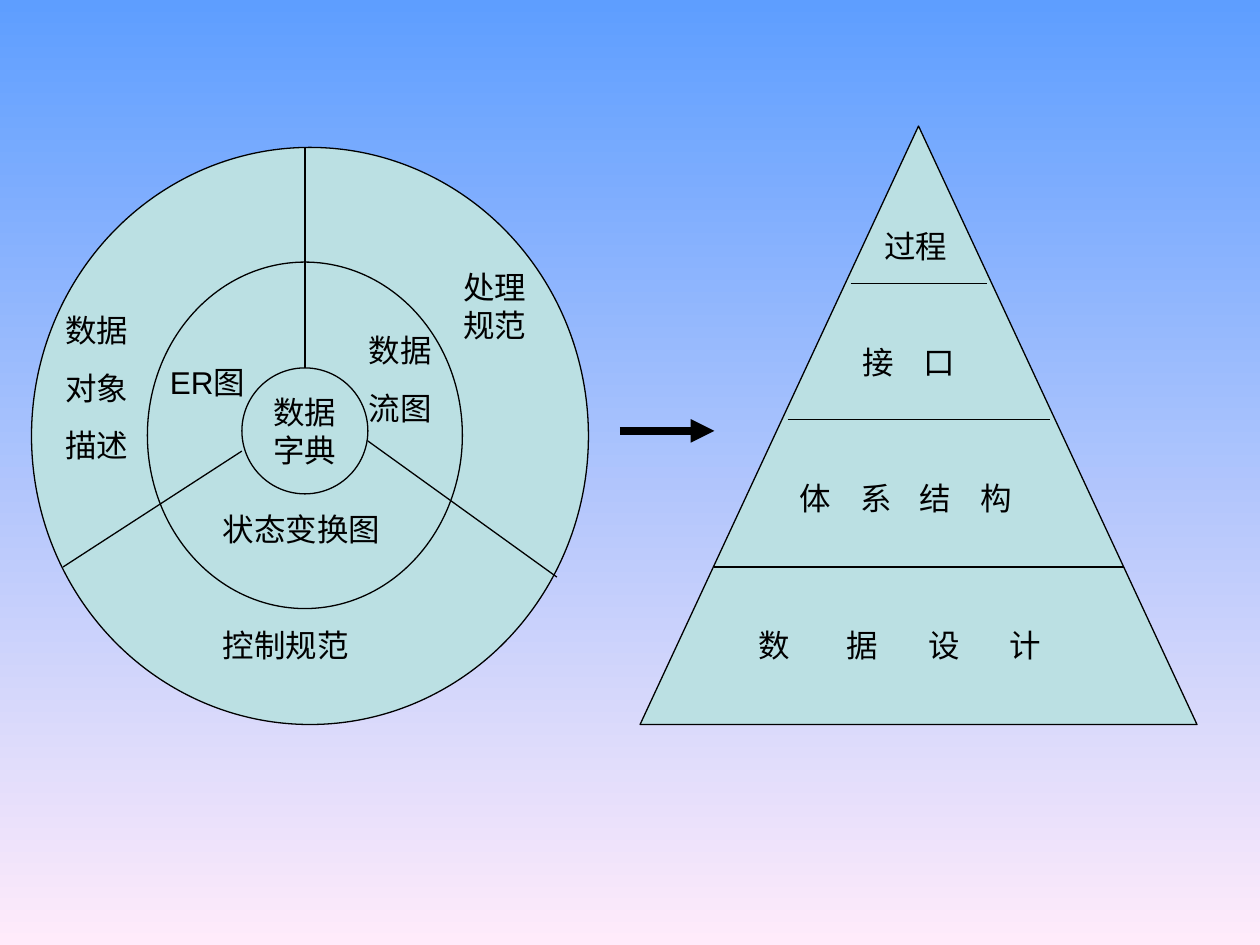
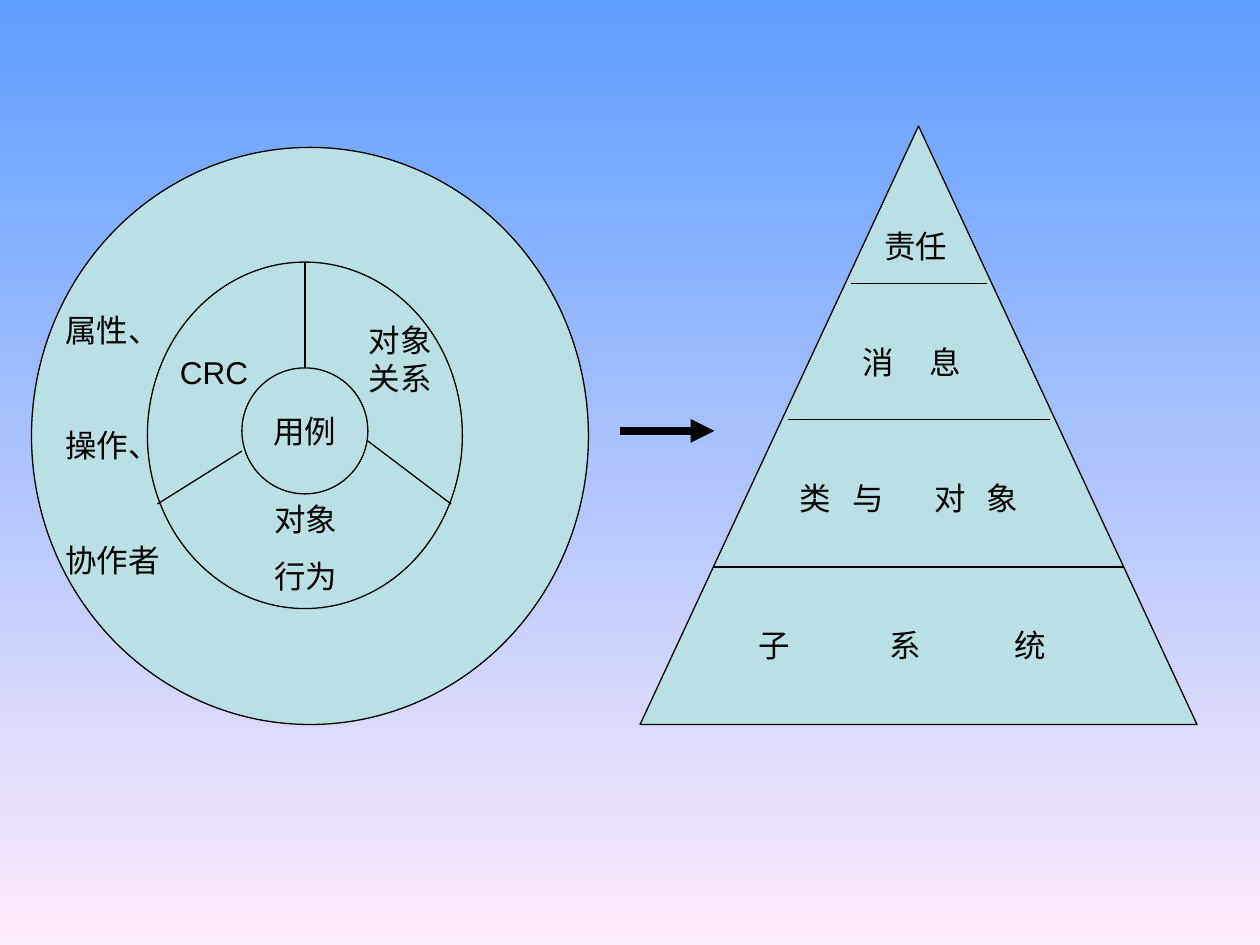
from lxml import etree
from pptx import Presentation
from pptx.dml.color import RGBColor
from pptx.enum import shapes, text
from pptx.oxml.ns import qn
from pptx.util import Inches, Pt

SKY, BLUSH, TEAL, BLACK = "5E9EFF", "FFEBFA", "BBE0E3", "000000"
FONT, SIZE, GAP = "Arial", 18, 11.2
OVAL = shapes.MSO_SHAPE.OVAL
TRIANGLE = shapes.MSO_SHAPE.ISOSCELES_TRIANGLE

# Rings of the wheel, outside in
RINGS = [(0.25, 1.17, 4.42, 4.58), (1.17, 2.08, 2.5, 2.75), (1.92, 2.92, 1, 1)]
# Inner ends of the three spokes
HUB_ENDS = [(2.92, 3.5), (2.42, 2.92), (1.92, 3.58)]
# Tiers of the pyramid: left, top and width of each label
TIERS = [(6.92, 1.75, 0.93), (6.75, 2.67, 2.33), (6.25, 3.75, 3.75), (5.92, 4.92, 2.83)]
# Dividers of the pyramid: left, right, height
DIVIDERS = [(6.75, 7.83, 2.25), (6.25, 8.33, 3.33), (5.67, 8.92, 4.5)]


def color(hex_value):
    return RGBColor.from_string(hex_value)


def write(frame, words, gap=GAP, align=None, stops=()):
    """Fill a text frame, one paragraph a line; stops are tab positions."""
    for number, line in enumerate(words.split("\n")):
        paragraph = frame.add_paragraph() if number else frame.paragraphs[0]
        paragraph.alignment = align
        paragraph.space_before = Pt(gap)
        run = paragraph.add_run()
        run.text = line
        run.font.name, run.font.size = FONT, Pt(SIZE)
        run.font.color.rgb = color(BLACK)
        if stops:
            tabs = etree.SubElement(paragraph._p.get_or_add_pPr(), qn("a:tabLst"))
            for stop in stops:
                etree.SubElement(tabs, qn("a:tab"), pos=str(Inches(stop)), algn="l")


class Deck:
    def __init__(self):
        self.prs = Presentation()
        self.prs.slide_width, self.prs.slide_height = Inches(10), Inches(7.5)
        self.slide = None
        sky = self.prs.slide_master.background.fill
        sky.gradient()
        sky.gradient_angle = 270
        for stop, tint in zip(sky.gradient_stops, (SKY, BLUSH)):
            stop.color.rgb = color(tint)

    def new_slide(self):
        self.slide = self.prs.slides.add_slide(self.prs.slide_layouts[6])

    def shape(self, kind, box):
        figure = self.slide.shapes.add_shape(kind, *map(Inches, box))
        figure.shadow.inherit = False
        figure.fill.solid()
        figure.fill.fore_color.rgb = color(TEAL)
        figure.line.color.rgb = color(BLACK)
        figure.line.width = Pt(0.75)
        return figure

    def line(self, start, end, width=0.75, arrow=False):
        link = self.slide.shapes.add_connector(
            shapes.MSO_CONNECTOR.STRAIGHT, *map(Inches, (*start, *end)))
        link.line.color.rgb = color(BLACK)
        link.line.width = Pt(width)
        if arrow:
            etree.SubElement(link.line._get_or_add_ln(), qn("a:tailEnd"), type="triangle")
        etree.SubElement(link._element.spPr, qn("a:effectLst"))

    def label(self, words, left, top, width, height=0.4, **style):
        box = self.slide.shapes.add_textbox(*map(Inches, (left, top, width, height)))
        box.text_frame.word_wrap = True
        box.text_frame.auto_size = text.MSO_AUTO_SIZE.SHAPE_TO_FIT_TEXT
        write(box.text_frame, words, **style)

    def wheel(self, hub, spoke_ends, labels):
        for ring in RINGS:
            core = self.shape(OVAL, ring)
        core.text_frame.word_wrap = False
        core.text_frame.vertical_anchor = text.MSO_ANCHOR.MIDDLE
        write(core.text_frame, hub, gap=0, align=text.PP_ALIGN.CENTER)
        for start, end in zip(HUB_ENDS, spoke_ends):
            self.line(start, end)
        for words, box, *gap in labels:
            self.label(words, *box, gap=gap[0] if gap else GAP)

    def pyramid(self, tiers):
        self.shape(TRIANGLE, (5.08, 1, 4.42, 4.75))
        for left, right, y in DIVIDERS:
            self.line((left, y), (right, y))
        for (words, stops), place in zip(tiers, TIERS):
            self.label(words, *place, stops=stops)

    def model_slide(self, hub, spoke_ends, labels, tiers):
        """Analysis wheel, arrow and design pyramid."""
        self.new_slide()
        self.wheel(hub, spoke_ends, labels)
        self.pyramid(tiers)
        self.line((4.92, 3.42), (5.67, 3.42), width=4.5, arrow=True)


def main():
    deck = Deck()

    # Structured analysis to design
    deck.model_slide(
        "数据\n字典",
        [(4.42, 4.58), (2.42, 1.17), (0.5, 4.5)],
        [("ER图", (1.25, 2.83, 0.92)),
         ("数据\n流图", (2.83, 2.58, 1.08, 0.86)),
         ("状态变换图", (1.67, 4, 1.58)),
         ("控制规范", (1.67, 4.92, 1.58)),
         ("处理规范", (3.58, 2.08, 0.92, 0.7)),
         ("数据\n对象\n描述", (0.42, 2.42, 0.83, 1.32))],
        [("过程", ()),
         ("接\t口", (0.48,)),
         ("体\t系\t结\t构", (0.48, 0.95, 1.43)),
         ("数\t据\t设\t计", (0.7, 1.35, 1.99))])

    # Object-oriented analysis to design
    deck.model_slide(
        "用例",
        [(3.58, 4), (2.42, 2.08), (1.25, 4)],
        [("CRC", (1.33, 2.75, 0.83)),
         ("对象关系", (2.83, 2.5, 0.92, 0.7)),
         ("对象\n行为", (2.08, 3.92, 1.08, 0.86)),
         ("属性、\n操作、\n协作者", (0.42, 2.42, 1, 2.23), 44)],
        [("责任", ()),
         ("消\t息", (0.53,)),
         ("类\t与\t对\t象", (0.42, 1.07, 1.48)),
         ("子\t系\t统", (1.04, 2.03))])

    deck.prs.save("out.pptx")


if __name__ == "__main__":
    main()
